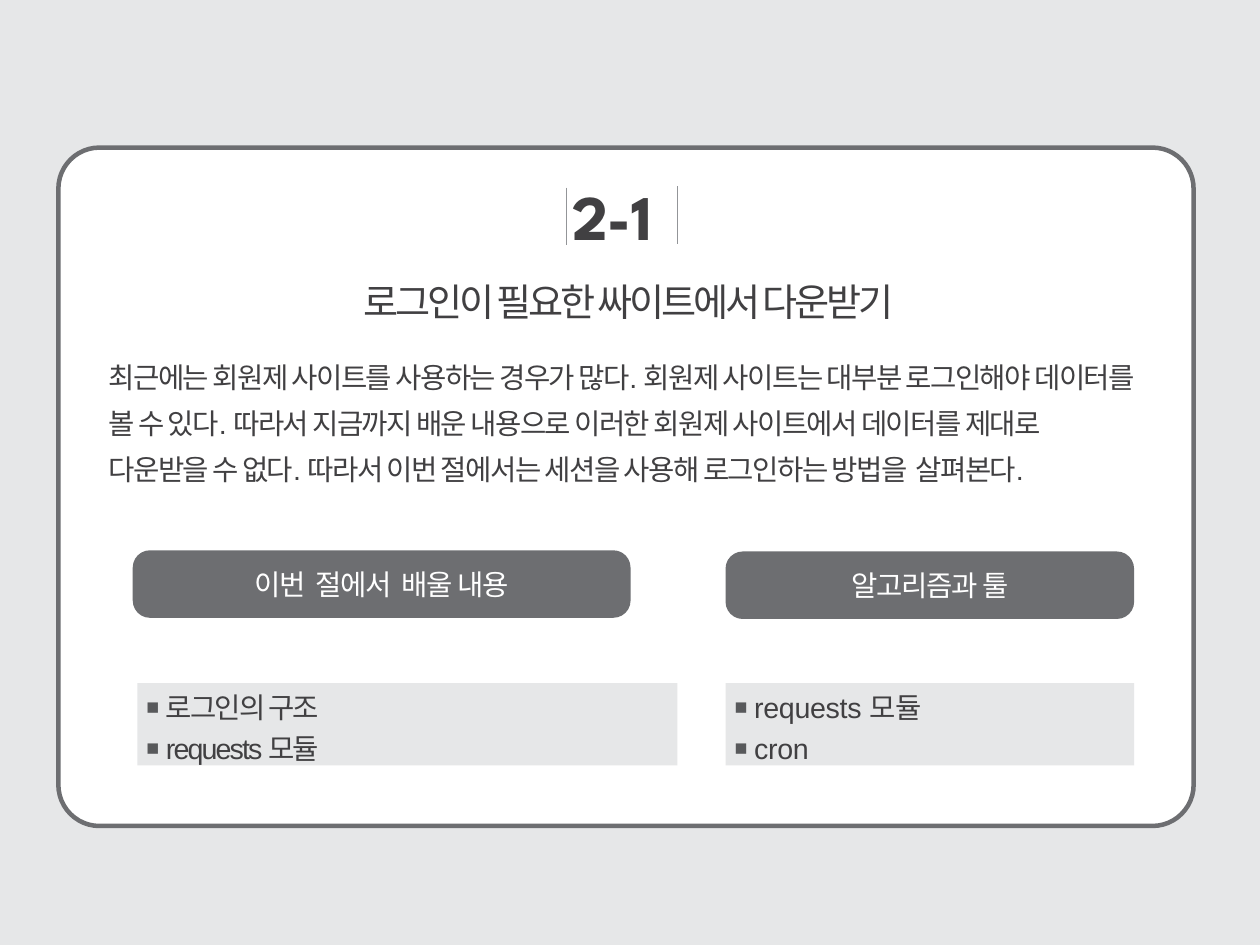
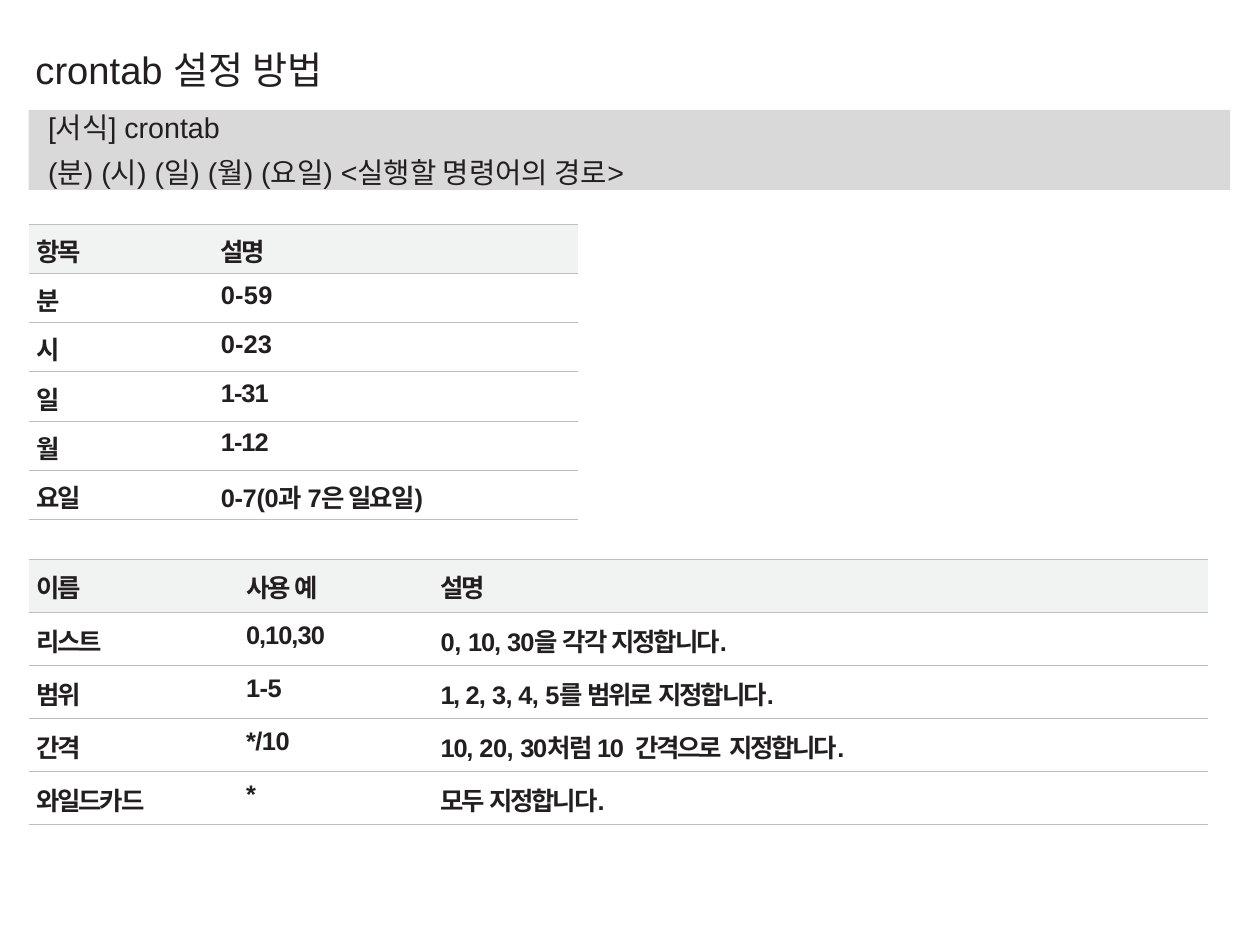
from lxml import etree
from pptx import Presentation
from pptx import util as u
from pptx.dml import color
from pptx.enum import shapes, text
from pptx.oxml import ns

COLORS = {
    "backdrop": "E6E7E8",
    "white": "FFFFFF",
    "slate": "6D6E71",
    "rule": "939598",
    "body": "414042",
    "bullet": "58595B",
    "ink": "231F20",
    "format": "D9D9D9",
    "header": "F1F2F2",
    "border": "BCBEC0",
}


def rgb(name):
    return color.RGBColor.from_string(COLORS[name])


def child(parent, tag, **attributes):
    return etree.SubElement(parent, ns.qn(tag), attributes)


class SlideBuilder:
    font = "Arial"

    def __init__(self, width, height):
        self.deck = Presentation()
        self.deck.slide_width = u.Inches(width)
        self.deck.slide_height = u.Inches(height)
        self.slide = None

    def new_slide(self, background):
        self.slide = self.deck.slides.add_slide(self.deck.slide_layouts[6])
        fill = self.slide.background.fill
        fill.solid()
        fill.fore_color.rgb = rgb(background)

    def style(self, span, size, ink, spacing=0, bold=False, font=None):
        span.font.size = u.Pt(size)
        span.font.name = font or self.font
        span.font.bold = bold
        span.font.color.rgb = rgb(ink)
        span._r.get_or_add_rPr().set("spc", str(round(spacing * 100)))

    def set_text(self, frame, lines, size, ink, spacing=0, bold=False, font=None,
                 before=0, line_spacing=None, align=text.PP_ALIGN.LEFT,
                 anchor=text.MSO_ANCHOR.TOP, left=0, top=0):
        frame.word_wrap = True
        frame.vertical_anchor = anchor
        frame.margin_left, frame.margin_top = u.Inches(left), u.Inches(top)
        frame.margin_right = frame.margin_bottom = 0
        frame.text = "\n".join(lines)
        for para in frame.paragraphs:
            para.alignment = align
            para.space_before = u.Pt(before)
            if line_spacing:
                para.line_spacing = line_spacing
            for span in para.runs:
                self.style(span, size, ink, spacing, bold, font)

    def label(self, at, line, size, ink, **options):
        box = self.slide.shapes.add_textbox(*map(u.Inches, at))
        self.set_text(box.text_frame, [line], size, ink, **options)

    def panel(self, at, fill, radius=0, line=None):
        kind = shapes.MSO_SHAPE
        box = self.slide.shapes.add_shape(
            kind.ROUNDED_RECTANGLE if radius else kind.RECTANGLE, *map(u.Inches, at))
        box.shadow.inherit = False
        box.fill.solid()
        box.fill.fore_color.rgb = rgb(fill)
        if radius:
            box.adjustments[0] = radius / min(at[2:])
        if line:
            box.line.color.rgb = rgb(line)
            box.line.width = u.Pt(2.83)
        else:
            box.line.fill.background()
        return box

    def rule(self, x, top, bottom):
        line = self.slide.shapes.add_connector(
            shapes.MSO_CONNECTOR.STRAIGHT, *map(u.Inches, (x, top, x, bottom)))
        line.line.color.rgb = rgb("rule")
        line.line.width = u.Pt(0.5)
        child(line._element.spPr, "a:effectLst")

    def button(self, at, line):
        box = self.panel(at, "slate", radius=0.15)
        self.set_text(box.text_frame, [line], 18, "white", spacing=-0.7, font="Courier New",
                      align=text.PP_ALIGN.CENTER, anchor=text.MSO_ANCHOR.MIDDLE)

    def bullet_list(self, at, lines, spacing):
        frame = self.panel(at, "backdrop").text_frame
        self.set_text(frame, lines, 18, "body", spacing=spacing, before=4, top=0.06)
        for para in frame.paragraphs:
            properties = para._p.get_or_add_pPr()
            properties.set("marL", str(u.Inches(0.25)))
            properties.set("indent", str(u.Inches(-0.17)))
            child(child(properties, "a:buClr"), "a:srgbClr", val=COLORS["bullet"])
            child(properties, "a:buSzPct", val="75000")
            child(properties, "a:buFont", typeface=self.font)
            child(properties, "a:buChar", char="■")

    def borders(self, cell):
        properties = cell._tc.get_or_add_tcPr()
        for tag in ("a:lnL", "a:lnR"):
            child(child(properties, tag, w="0"), "a:noFill")
        for tag in ("a:lnT", "a:lnB"):
            line = child(properties, tag, w=str(u.Pt(0.5)))
            child(child(line, "a:solidFill"), "a:srgbClr", val=COLORS["border"])

    def table(self, left, top, row_height, widths, indents, cell_top, rows):
        frame = self.slide.shapes.add_table(
            len(rows), len(widths),
            *map(u.Inches, (left, top, sum(widths), row_height * len(rows))))
        grid = frame.table
        grid.first_row = grid.horz_banding = False
        for column, width in zip(grid.columns, widths):
            column.width = u.Inches(width)
        for r, row in enumerate(rows):
            grid.rows[r].height = u.Inches(row_height)
            for c, spans in enumerate(row):
                cell = grid.cell(r, c)
                self.borders(cell)
                if r == 0:
                    cell.fill.solid()
                    cell.fill.fore_color.rgb = rgb("header")
                else:
                    cell.fill.background()
                cell.margin_left, cell.margin_top = u.Inches(indents[c]), u.Inches(cell_top)
                cell.margin_right = cell.margin_bottom = 0
                para = cell.text_frame.paragraphs[0]
                para.space_before = u.Pt(3)
                for words, spacing in spans:
                    span = para.add_run()
                    span.text = words
                    self.style(span, 16, "ink", spacing, bold=True)


def build_intro(builder):
    builder.new_slide("backdrop")
    builder.panel((0.51, 1.29, 9.92, 5.93), "white", radius=0.36, line="slate")
    builder.rule(4.95, 1.64, 2.14)
    builder.rule(5.92, 1.63, 2.13)
    builder.label((5, 1.55, 1.04, 0.67), "2-1", 40, "body",
                  spacing=-0.4, bold=True, font="League Spartan")
    builder.label((3.18, 2.43, 5.33, 0.4), "로그인이 필요한 싸이트에서 다운받기",
                  24, "body", spacing=-2)
    builder.label(
        (0.95, 3.04, 8.98, 1.64),
        "최근에는 회원제 사이트를 사용하는 경우가 많다. 회원제 사이트는 대부분 로그인해야 "
        "데이터를 볼 수 있다. 따라서 지금까지 배운 내용으로 이러한 회원제 사이트에서 데이터를 "
        "제대로 다운받을 수 없다. 따라서 이번 절에서는 세션을 사용해 로그인하는 방법을  살펴본다.",
        18, "body", spacing=-1, line_spacing=1.35)
    builder.button((1.16, 4.81, 4.35, 0.59), "이번  절에서  배울 내용")
    builder.button((6.34, 4.82, 3.57, 0.59), "알고리즘과 툴")
    builder.bullet_list((1.2, 5.97, 4.72, 0.72), ["로그인의 구조", "requests 모듈"], -1.2)
    builder.bullet_list((6.34, 5.97, 3.57, 0.72), ["requests 모듈", "cron"], -0.2)


def build_crontab(builder):
    builder.new_slide("white")
    builder.label((0.31, 0.21, 10.42, 0.53), "crontab 설정 방법", 24, "ink", line_spacing=1.5)
    syntax = builder.panel((0.25, 0.96, 10.5, 0.7), "format")
    builder.set_text(syntax.text_frame,
                     ["[서식] crontab", "(분) (시) (일) (월) (요일) <실행할 명령어의 경로>"],
                     18, "ink", before=6.8, left=0.17)
    fields = [
        [[("항목", -1.4)], [("설명", -1.4)]],
        [[("분", 0)], [("0-59", 0.2)]],
        [[("시", 0)], [("0-23", 0.1)]],
        [[("일", 0)], [("1-31", -0.6)]],
        [[("월", 0)], [("1-12", -0.6)]],
        [[("요일", -1.4)], [("0-7(0과 ", -0.2), ("7은", -0.9), (" 일요일)", -1.3)]],
    ]
    builder.table(0.25, 1.96, 0.43, [1.23, 3.57], [0.07, 0.45], 0.07, fields)
    assign = ("지정합니다.", -1.3)
    patterns = [
        [[("이름", -1.4)], [("사용 ", -1.1), ("예", -0.9)], [("설명", -1.4)]],
        [[("리스트", -1.4)], [("0,10,30", -0.6)],
         [("0, ", -0.2), ("10, ", -0.7), ("30을 ", -0.5), ("각각 ", -1.2), assign]],
        [[("범위", -1.4)], [("1-5", -0.3)],
         [("1, ", -1), ("2, ", -0.5), ("3, 4, ", -0.4), ("5를 ", -0.8),
          ("범위로  ", -1.3), assign]],
        [[("간격", -1.4)], [("*/10", -0.3)],
         [("10, ", -0.7), ("20, ", -0.3), ("30처럼 ", -0.8), ("10  ", -0.9),
          ("간격으로  ", -1.4), assign]],
        [[("와일드카드", -1.4)], [("*", 0)], [("모두 ", -1.2), assign]],
    ]
    builder.table(0.25, 4.89, 2.32 / len(patterns), [1.59, 1.73, 6.99],
                  [0.07, 0.31, 0.28], 0.08, patterns)


def main():
    builder = SlideBuilder(11.01, 8.26)
    build_intro(builder)
    build_crontab(builder)
    builder.deck.save("out.pptx")


if __name__ == "__main__":
    main()
